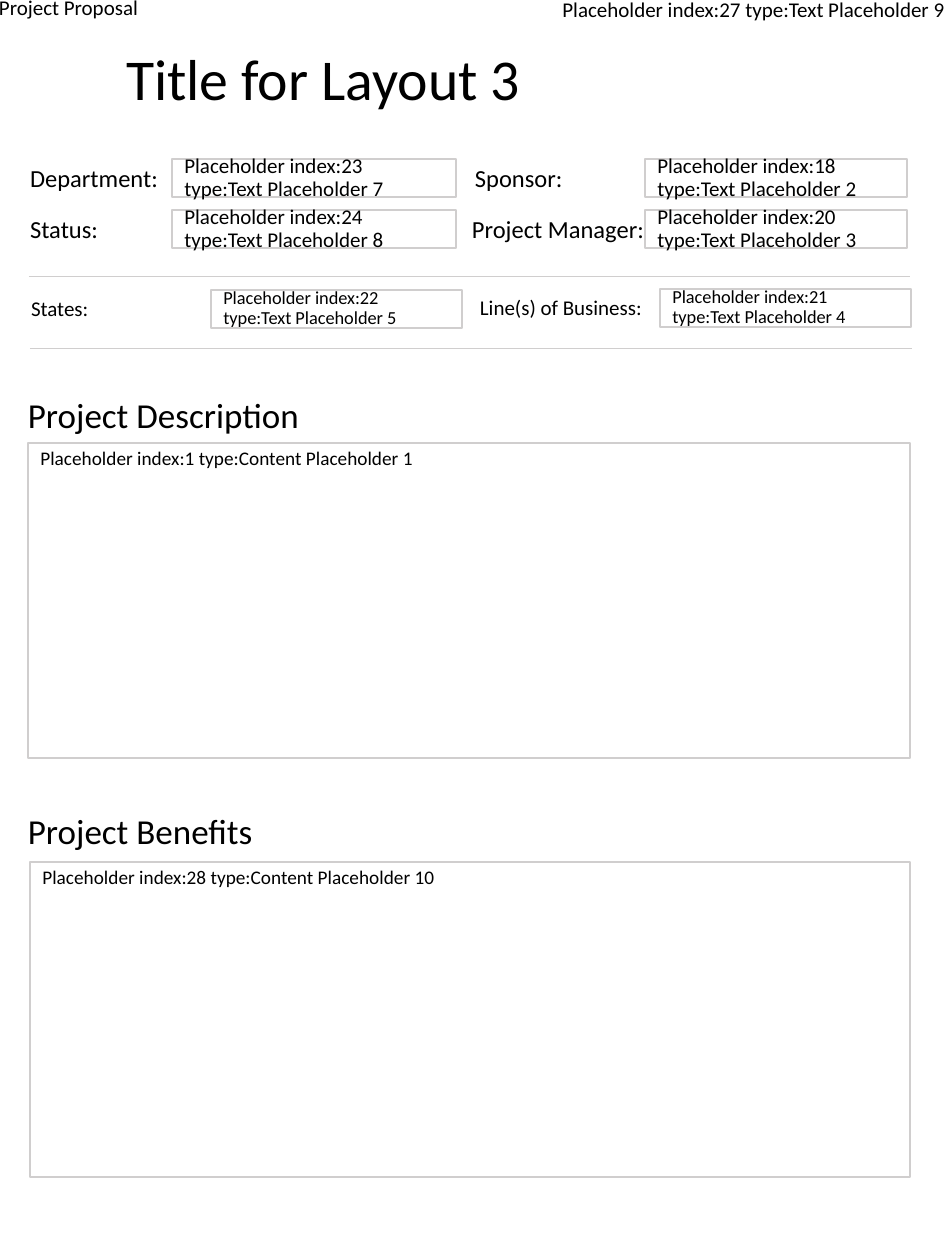
from dataclasses import dataclass

from lxml import etree
from pptx import Presentation
from pptx.dml.color import RGBColor
from pptx.enum.shapes import MSO_CONNECTOR, MSO_SHAPE
from pptx.enum.text import MSO_ANCHOR, MSO_AUTO_SIZE, PP_ALIGN
from pptx.oxml.ns import qn
from pptx.util import Emu, Pt

RECTANGLE = MSO_SHAPE.RECTANGLE
STRAIGHT = MSO_CONNECTOR.STRAIGHT
TOP, MIDDLE = MSO_ANCHOR.TOP, MSO_ANCHOR.MIDDLE
LEFT, RIGHT = PP_ALIGN.LEFT, PP_ALIGN.RIGHT
NO_AUTOFIT = MSO_AUTO_SIZE.NONE
PIXELS_PER_INCH = 126


@dataclass(frozen=True)
class Theme:
    """Colours, type sizes and line widths of the proposal form."""

    font: str = "Calibri"
    text: RGBColor = RGBColor(0x00, 0x00, 0x00)
    line: RGBColor = RGBColor(0xD0, 0xCE, 0xCE)
    title: float = 33
    heading: float = 20
    label: float = 14
    body: float = 12
    content: float = 11
    small: float = 10.5
    border: float = 0.75
    rule: float = 0.5
    line_spacing: float = 0.9
    space_before: float = 7.5


THEME = Theme()


def px(length):
    """Turn pixels into EMU."""
    return Emu(round(length * 914400 / PIXELS_PER_INCH))


def write(shape, text, size, align=LEFT, anchor=TOP, wrap=True, inset=True):
    """Put one formatted paragraph into a shape and return it."""
    frame = shape.text_frame
    frame.text = text
    frame.auto_size = NO_AUTOFIT
    frame.word_wrap = wrap
    frame.vertical_anchor = anchor
    if not inset:
        frame.margin_left = frame.margin_top = 0
        frame.margin_right = frame.margin_bottom = 0
    paragraph = frame.paragraphs[0]
    paragraph.alignment = align
    paragraph.font.name = THEME.font
    paragraph.font.size = Pt(size)
    paragraph.font.color.rgb = THEME.text
    return paragraph


def add_text(slide, box, text, size, **options):
    """Add a text box without insets and return its paragraph."""
    shape = slide.shapes.add_textbox(*map(px, box))
    return write(shape, text, size, inset=False, **options)


def add_entry(slide, box, text, size, anchor):
    """Add an outlined entry box."""
    shape = slide.shapes.add_shape(RECTANGLE, *map(px, box))
    shape.shadow.inherit = False
    shape.fill.background()
    shape.line.color.rgb = THEME.line
    shape.line.width = Pt(THEME.border)
    paragraph = write(shape, text, size, anchor=anchor)
    paragraph.line_spacing = THEME.line_spacing
    paragraph.space_before = Pt(THEME.space_before)


def add_rule(slide, left, top, width):
    """Add a thin horizontal rule."""
    rule = slide.shapes.add_connector(
        STRAIGHT, px(left), px(top), px(left + width), px(top))
    rule.line.color.rgb = THEME.line
    rule.line.width = Pt(THEME.rule)
    etree.SubElement(rule._element.spPr, qn("a:effectLst"))


def add_field(slide, box, label, label_size, entry, entry_size):
    """Add a label at the left of a box and its entry at the right."""
    left, top, width, height = box
    label_text, label_width = label
    entry_text, entry_width = entry
    label_height = 30 if label_size == THEME.label else 25
    label_top = top + (height - label_height) // 2
    add_text(slide, (left, label_top, label_width, label_height),
             label_text, label_size, wrap=False)
    add_entry(slide, (left + width - entry_width, top, entry_width, height),
              entry_text, entry_size, MIDDLE)


def add_header(slide, box):
    """Add the running header and the title."""
    left, top, width, height = box
    add_text(slide, (left - 1, top - 5, 428, 25), "Project Proposal", THEME.body)
    paragraph = add_text(
        slide, (left + width - 425, top, 425, 21),
        "Placeholder index:27 type:Text Placeholder 9", THEME.body,
        align=RIGHT, anchor=MIDDLE)
    paragraph.line_spacing = THEME.line_spacing
    title = slide.shapes.title
    title.left, title.top = px(left + 126), px(top + 50)
    title.width, title.height = px(width - 157), px(height - 50)
    paragraph = write(title, "Title for Layout 3", THEME.title,
                      anchor=MIDDLE, inset=False)
    paragraph.line_spacing = THEME.line_spacing


def add_details(slide, box):
    """Add two rows of project details with a rule below."""
    left, top, width, height = box
    rows = [
        (("Department:", 130), "23 type:Text Placeholder 7",
         ("Sponsor:", 88), "18 type:Text Placeholder 2", 446),
        (("Status:", 69), "24 type:Text Placeholder 8",
         ("Project Manager:", 174), "20 type:Text Placeholder 3", 443),
    ]
    for index, (label, entry, second_label, second_entry, offset) in enumerate(rows):
        row_top = top + index * 51
        add_field(slide, (left + 1, row_top, 426, 38), label, THEME.label,
                  ("Placeholder index:" + entry, 284), THEME.body)
        add_field(slide, (left + offset, row_top, 878 - offset, 38),
                  second_label, THEME.label,
                  ("Placeholder index:" + second_entry, 262), THEME.body)
    add_rule(slide, left, top + height, width)


def add_scope(slide, box):
    """Add the states and business lines with a rule below."""
    left, top, width, height = box
    add_field(slide, (left + 1, top + 1, 431, 38), ("States:", 58), THEME.body,
              ("Placeholder index:22 type:Text Placeholder 5", 251), THEME.small)
    add_field(slide, (left + 450, top, 431, 38),
              ("Line(s) of Business:", 164), THEME.body,
              ("Placeholder index:21 type:Text Placeholder 4", 251), THEME.small)
    add_rule(slide, left, top + height, width)


def add_section(slide, box, heading, content, indent=0):
    """Add a heading above a large content box."""
    left, top, width, height = box
    add_text(slide, (left, top, 428, 32), heading, THEME.heading)
    entry_height = 315
    add_entry(slide, (left + indent, top + height - entry_height,
                      width - indent, entry_height),
              content, THEME.content, TOP)


def main():
    """Build the project proposal slide."""
    presentation = Presentation()
    presentation.slide_width, presentation.slide_height = px(945), px(1260)
    slide = presentation.slides.add_slide(presentation.slide_layouts[5])
    add_header(slide, (0, 0, 945, 113))
    add_details(slide, (29, 159, 881, 117))
    add_scope(slide, (30, 289, 882, 59))
    add_section(slide, (28, 393, 882, 365), "Project Description",
                "Placeholder index:1 type:Content Placeholder 1")
    add_section(slide, (28, 809, 882, 368), "Project Benefits",
                "Placeholder index:28 type:Content Placeholder 10", indent=2)
    presentation.save("out.pptx")


if __name__ == "__main__":
    main()
